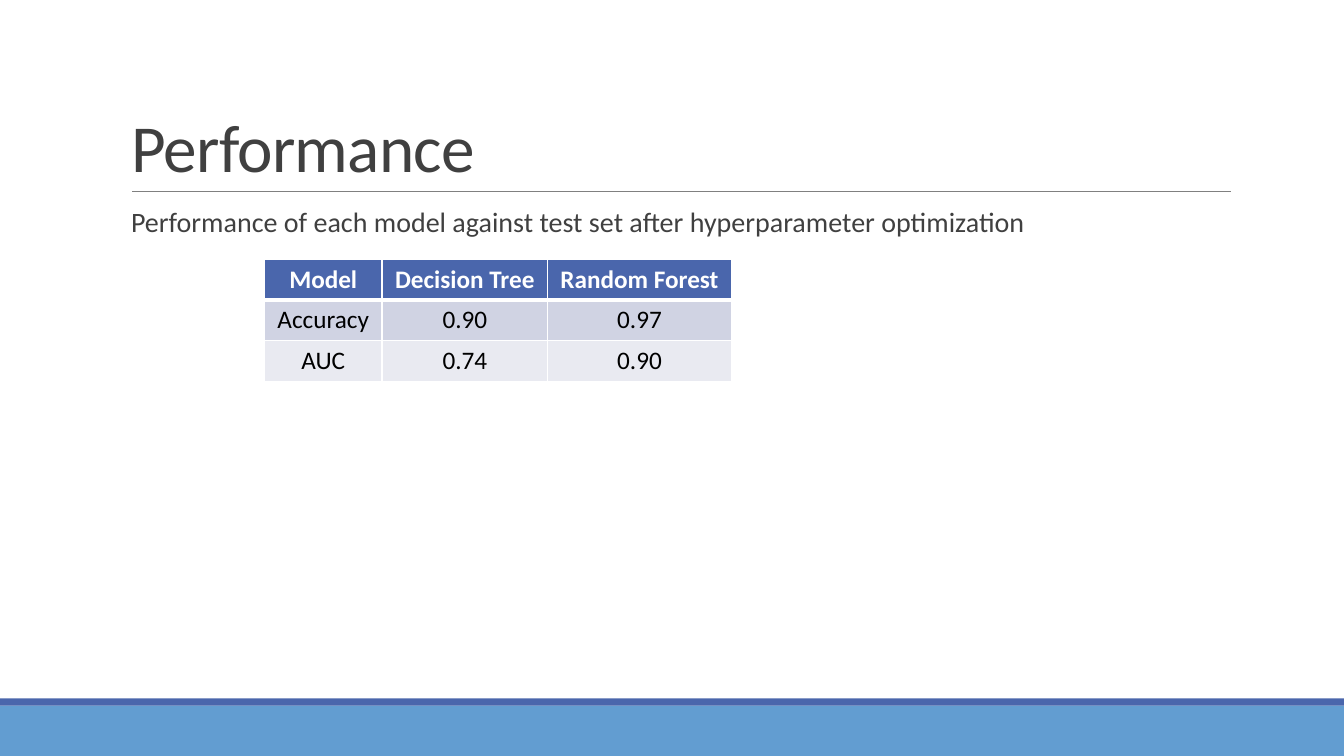
from dataclasses import dataclass
from typing import Any, NamedTuple

from lxml import etree
from pptx import Presentation, util as u
from pptx.dml import color
from pptx.enum import shapes, text
from pptx.oxml import ns

SLIDE_WIDTH, SLIDE_HEIGHT = u.Inches(13.33), u.Inches(7.5)
COLUMN, ROW = SLIDE_WIDTH / 40, SLIDE_HEIGHT / 30


@dataclass(frozen=True)
class Theme:
    font: str = "Calibri"
    title_size: int = 48
    body_size: int = 20
    table_size: int = 18
    ink: str = "404040"
    black: str = "000000"
    white: str = "FFFFFF"
    rule: str = "808080"
    primary: str = "4A66AC"
    secondary: str = "629DD1"
    band_dark: str = "D0D3E3"
    band_light: str = "E9EAF1"


class Area(NamedTuple):
    column: float
    row: float
    columns: float
    rows: float

    def emu(self) -> tuple[int, ...]:
        units = (COLUMN, ROW, COLUMN, ROW)
        return tuple(round(size * unit) for size, unit in zip(self, units))


class Bar(NamedTuple):
    area: Area
    fill: str


class ScoreRow(NamedTuple):
    values: tuple[str, ...]
    fill: str
    ink: str
    bold: bool
    top_border: float
    bottom_border: float


THEME = Theme()
FOOTER_BARS = [
    Bar(Area(0, 28, 40, 2), THEME.secondary),
    Bar(Area(0, 27.72, 40, 0.28), THEME.primary),
]
TITLE_RULE = Area(3.93, 7.6, 32.7, 0)
TITLE_AREA = Area(3.6, 1.24, 33, 6.36)
BODY_AREA = Area(3.6, 8.08, 33, 17.6)
SCORE_COLUMNS = (3.5, 4.93, 5.47)
SCORE_ROW_HEIGHT = 1.61
SCORE_ROWS = [
    ScoreRow(("Model", "Decision Tree", "Random Forest"), THEME.primary, THEME.white, True, 1, 3),
    ScoreRow(("Accuracy", "0.90", "0.97"), THEME.band_dark, THEME.black, False, 3, 1),
    ScoreRow(("AUC", "0.74", "0.90"), THEME.band_light, THEME.black, False, 1, 1),
]
SCORE_AREA = Area(7.87, 10.28, sum(SCORE_COLUMNS), SCORE_ROW_HEIGHT * len(SCORE_ROWS))


def rgb(value: str) -> color.RGBColor:
    return color.RGBColor.from_string(value)


def apply(target: Any, formats: dict[str, Any]) -> None:
    for attribute, value in formats.items():
        setattr(target, attribute, value)


def add_child(parent: Any, tag: str, **attributes: str) -> Any:
    return etree.SubElement(parent, ns.qn(tag), **attributes)


def write(paragraph: Any, words: str, size: float, ink: str, bold: bool = False) -> Any:
    run = paragraph.add_run()
    run.text = words
    apply(run.font, {"name": THEME.font, "size": u.Pt(size), "bold": bold})
    run.font.color.rgb = rgb(ink)
    return run


def place(placeholder: Any, area: Area, frame_formats: dict[str, Any],
          paragraph_formats: dict[str, Any]) -> Any:
    apply(placeholder, dict(zip(("left", "top", "width", "height"), area.emu())))
    frame = placeholder.text_frame
    apply(frame, {"word_wrap": True, "auto_size": text.MSO_AUTO_SIZE.NONE, **frame_formats})
    paragraph = frame.paragraphs[0]
    apply(paragraph, {"alignment": text.PP_ALIGN.LEFT, **paragraph_formats})
    return paragraph


def draw_bar(slide: Any, bar: Bar) -> None:
    band = slide.shapes.add_shape(shapes.MSO_SHAPE.RECTANGLE, *bar.area.emu())
    band.shadow.inherit = False
    band.fill.solid()
    band.fill.fore_color.rgb = rgb(bar.fill)
    band.line.fill.background()


def draw_rule(slide: Any, area: Area) -> None:
    left, top, width, height = area.emu()
    rule = slide.shapes.add_connector(
        shapes.MSO_CONNECTOR.STRAIGHT, left, top, left + width, top + height)
    rule.line.color.rgb = rgb(THEME.rule)
    rule.line.width = u.Pt(0.5)
    add_child(rule._element.spPr, "a:effectLst")


def write_title(slide: Any, words: str) -> None:
    heading = place(slide.shapes.title, TITLE_AREA,
                    {"vertical_anchor": text.MSO_ANCHOR.BOTTOM}, {"line_spacing": 0.85})
    run = write(heading, words, THEME.title_size, THEME.ink)
    run.font._element.set("spc", "-50")


def write_body(slide: Any, words: str) -> None:
    statement = place(
        slide.placeholders[1], BODY_AREA,
        {"vertical_anchor": text.MSO_ANCHOR.TOP, "margin_left": 0, "margin_right": 0},
        {"line_spacing": 0.9, "space_before": u.Pt(12), "space_after": u.Pt(2)})
    write(statement, words, THEME.body_size, THEME.ink)
    properties = statement._p.get_or_add_pPr()
    indent = u.Inches(0.1)
    properties.set("marL", str(indent))
    properties.set("indent", str(-indent))
    add_child(add_child(properties, "a:buClr"), "a:srgbClr", val=THEME.primary)
    add_child(properties, "a:buChar", char=" ")


def draw_borders(cell: Any, score: ScoreRow) -> None:
    properties = cell._tc.get_or_add_tcPr()
    widths = {"L": 1, "R": 1, "T": score.top_border, "B": score.bottom_border}
    for side, width in widths.items():
        border = add_child(properties, f"a:ln{side}", w=str(u.Pt(width)))
        add_child(add_child(border, "a:solidFill"), "a:srgbClr", val=THEME.white)


def draw_scores(slide: Any) -> None:
    scores = slide.shapes.add_table(
        len(SCORE_ROWS), len(SCORE_COLUMNS), *SCORE_AREA.emu()).table
    for column, width in zip(scores.columns, SCORE_COLUMNS):
        column.width = round(width * COLUMN)
    for row, score in zip(scores.rows, SCORE_ROWS):
        row.height = round(SCORE_ROW_HEIGHT * ROW)
        for cell, value in zip(row.cells, score.values):
            draw_borders(cell, score)
            cell.fill.solid()
            cell.fill.fore_color.rgb = rgb(score.fill)
            entry = cell.text_frame.paragraphs[0]
            entry.alignment = text.PP_ALIGN.CENTER
            write(entry, value, THEME.table_size, score.ink, score.bold)


def main() -> None:
    deck = Presentation()
    apply(deck, {"slide_width": SLIDE_WIDTH, "slide_height": SLIDE_HEIGHT})
    slide = deck.slides.add_slide(deck.slide_layouts[1])
    for bar in FOOTER_BARS:
        draw_bar(slide, bar)
    draw_rule(slide, TITLE_RULE)
    write_title(slide, "Performance")
    write_body(slide, "Performance of each model against test set after hyperparameter optimization")
    draw_scores(slide)
    deck.save("out.pptx")


main()
